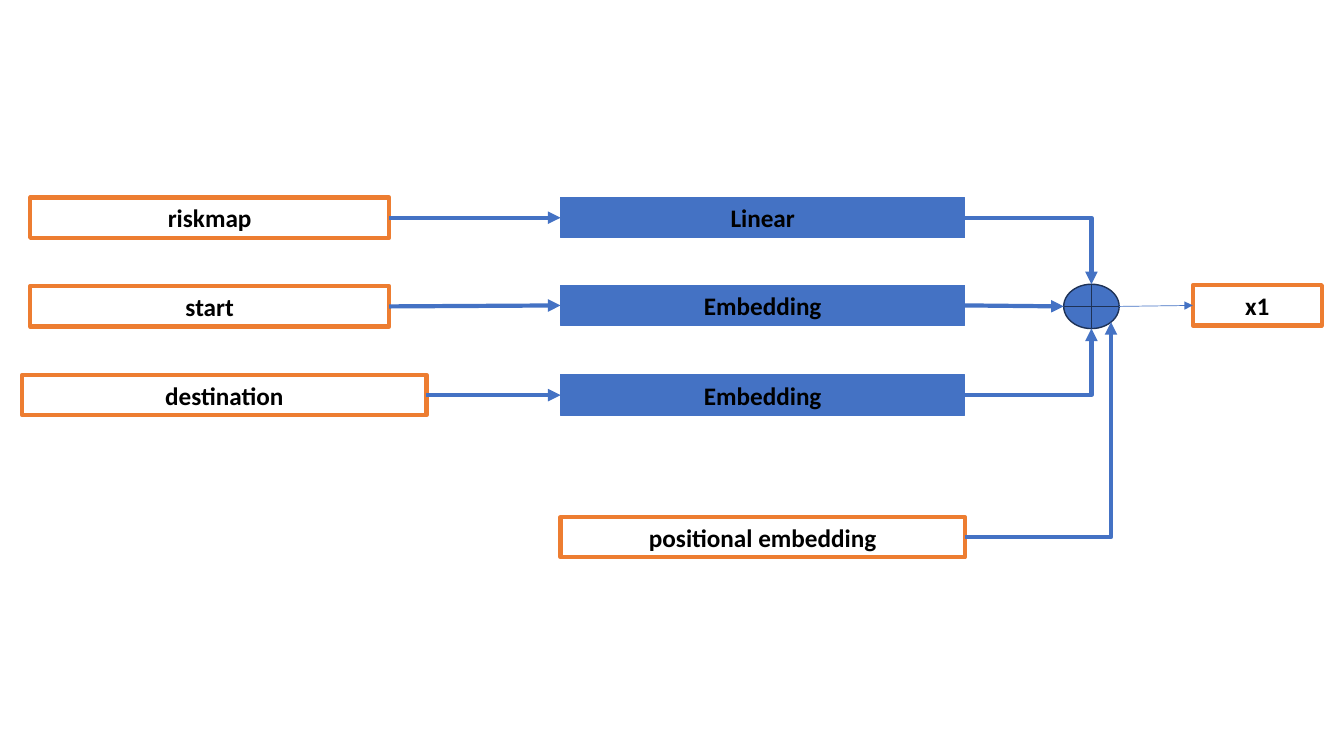
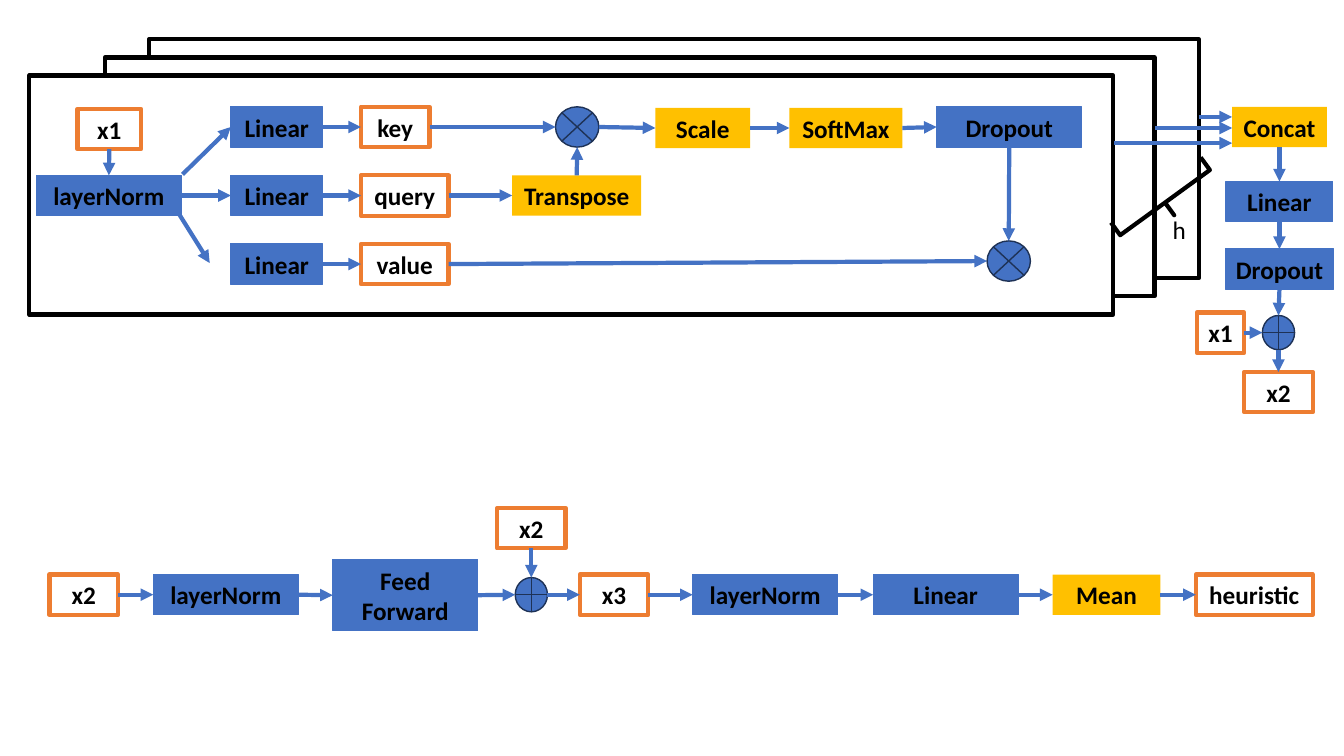
from dataclasses import dataclass
from enum import Enum
from itertools import pairwise
from typing import NamedTuple, Optional, Union

from lxml.etree import SubElement
from pptx import Presentation
from pptx.dml.color import RGBColor
from pptx.enum.shapes import MSO_CONNECTOR as Route, MSO_SHAPE as Preset
from pptx.enum.text import MSO_ANCHOR as Anchor, PP_ALIGN as Align
from pptx.oxml.ns import qn
from pptx.util import Inches, Pt


@dataclass(frozen=True)
class Theme:
    font: str = "Calibri"
    text_size: float = 18
    thick: float = 3
    hairline: float = 0.5
    ink: RGBColor = RGBColor(0x00, 0x00, 0x00)
    paper: RGBColor = RGBColor(0xFF, 0xFF, 0xFF)
    blue: RGBColor = RGBColor(0x44, 0x72, 0xC4)
    navy: RGBColor = RGBColor(0x1E, 0x32, 0x56)
    orange: RGBColor = RGBColor(0xED, 0x7D, 0x31)
    yellow: RGBColor = RGBColor(0xFF, 0xC0, 0x00)


THEME = Theme()


class Look(NamedTuple):
    preset: Preset
    fill: Optional[RGBColor]
    line: Optional[RGBColor]
    line_width: float = 0


class Role(Enum):
    TENSOR = Look(Preset.RECTANGLE, None, THEME.orange, THEME.thick)
    LAYER = Look(Preset.RECTANGLE, THEME.blue, THEME.blue, 0.75)
    OPERATION = Look(Preset.RECTANGLE, THEME.yellow, None)
    FRAME = Look(Preset.RECTANGLE, THEME.paper, THEME.ink, THEME.thick)
    SUM = Look(Preset.FLOWCHART_OR, THEME.blue, THEME.navy, 1)
    PRODUCT = Look(Preset.FLOWCHART_SUMMING_JUNCTION, THEME.blue, THEME.navy, 1)
    BRACE = Look(Preset.RIGHT_BRACE, None, THEME.ink, THEME.thick)


class Site(NamedTuple):
    x: float
    y: float
    on_rectangle: Optional[int]
    on_circle: int


class Side(Enum):
    TOP = Site(0.5, 0, 0, 0)
    LEFT = Site(0, 0.5, 1, 2)
    BOTTOM = Site(0.5, 1, 2, 4)
    LOWER_RIGHT = Site(0.854, 0.854, None, 5)
    RIGHT = Site(1, 0.5, 3, 6)


@dataclass(frozen=True)
class Node:
    role: Role
    text: str
    left: float
    top: float
    width: float
    height: float = 0.4


class Port(NamedTuple):
    node: str
    side: Side


class Point(NamedTuple):
    x: float
    y: float


End = Union[Port, Point]


class Link(NamedTuple):
    begin: End
    end: End
    width: float = THEME.thick
    bent: bool = False


def across(*names: str) -> list[Link]:
    return [Link(Port(a, Side.RIGHT), Port(b, Side.LEFT)) for a, b in pairwise(names)]


def down(*names: str) -> list[Link]:
    return [Link(Port(a, Side.BOTTOM), Port(b, Side.TOP)) for a, b in pairwise(names)]


def write(shape, text: str, bold: bool = True) -> None:
    frame = shape.text_frame
    frame.word_wrap = True
    frame.vertical_anchor = Anchor.MIDDLE
    frame.margin_left = frame.margin_right = 0
    frame.margin_top = frame.margin_bottom = Inches(0.05)
    frame.text = text
    for paragraph in frame.paragraphs:
        paragraph.alignment = Align.CENTER
        paragraph.font.name = THEME.font
        paragraph.font.size = Pt(THEME.text_size)
        paragraph.font.bold = bold
        paragraph.font.color.rgb = THEME.ink


def draw_node(slide, node: Node):
    look = node.role.value
    shape = slide.shapes.add_shape(
        look.preset, Inches(node.left), Inches(node.top), Inches(node.width), Inches(node.height)
    )
    shape.shadow.inherit = False
    if look.fill is None:
        shape.fill.background()
    else:
        shape.fill.solid()
        shape.fill.fore_color.rgb = look.fill
    if look.line is None:
        shape.line.fill.background()
    else:
        shape.line.color.rgb = look.line
        shape.line.width = Pt(look.line_width)
    if node.text:
        write(shape, node.text)
    return shape


def locate(end: End, nodes: dict[str, Node]) -> Point:
    if isinstance(end, Point):
        return end
    node, site = nodes[end.node], end.side.value
    return Point(node.left + site.x * node.width, node.top + site.y * node.height)


def join(connector, end: End, nodes: dict[str, Node], shapes: dict, is_begin: bool) -> None:
    if isinstance(end, Point):
        return
    shape, site = shapes[end.node], end.side.value
    if nodes[end.node].role in (Role.SUM, Role.PRODUCT):
        tag = "a:stCxn" if is_begin else "a:endCxn"
        SubElement(
            connector.element.nvCxnSpPr.cNvCxnSpPr,
            qn(tag),
            id=str(shape.shape_id),
            idx=str(site.on_circle),
        )
    elif is_begin:
        connector.begin_connect(shape, site.on_rectangle)
    else:
        connector.end_connect(shape, site.on_rectangle)


def draw_link(slide, link: Link, nodes: dict[str, Node], shapes: dict) -> None:
    start, stop = locate(link.begin, nodes), locate(link.end, nodes)
    connector = slide.shapes.add_connector(
        Route.ELBOW if link.bent else Route.STRAIGHT,
        Inches(start.x), Inches(start.y), Inches(stop.x), Inches(stop.y),
    )
    join(connector, link.begin, nodes, shapes, True)
    join(connector, link.end, nodes, shapes, False)
    connector.line.color.rgb = THEME.blue
    connector.line.width = Pt(link.width)
    properties = connector.element.spPr
    if link.bent:
        properties.find(qn("a:prstGeom")).set("prst", "bentConnector2")
    SubElement(properties.find(qn("a:ln")), qn("a:tailEnd"), type="triangle")
    SubElement(properties, qn("a:effectLst"))


def draw_diagram(slide, nodes: dict[str, Node], links: list[Link]) -> None:
    shapes = {name: draw_node(slide, node) for name, node in nodes.items()}
    for link in links:
        draw_link(slide, link, nodes, shapes)


def build_input_embedding(slide) -> None:
    nodes = {
        "riskmap": Node(Role.TENSOR, "riskmap", 0.3, 1.96, 3.56),
        "start": Node(Role.TENSOR, "start", 0.3, 2.84, 3.56),
        "destination": Node(Role.TENSOR, "destination", 0.22, 3.72, 4.01),
        "linear": Node(Role.LAYER, "Linear", 5.56, 1.96, 4.01),
        "start embedding": Node(Role.LAYER, "Embedding", 5.56, 2.83, 4.01),
        "destination embedding": Node(Role.LAYER, "Embedding", 5.56, 3.72, 4.01),
        "position": Node(Role.TENSOR, "positional embedding", 5.56, 5.13, 4.01),
        "sum": Node(Role.SUM, "", 10.55, 2.82, 0.55, 0.44),
        "x1": Node(Role.TENSOR, "x1", 11.83, 2.83, 1.28),
    }
    entries = {
        "linear": Side.TOP,
        "destination embedding": Side.BOTTOM,
        "position": Side.LOWER_RIGHT,
    }
    links = [
        *across("riskmap", "linear"),
        *across("start", "start embedding", "sum"),
        *across("destination", "destination embedding"),
        *[Link(Port(name, Side.RIGHT), Port("sum", side), bent=True) for name, side in entries.items()],
        Link(Port("sum", Side.RIGHT), Port("x1", Side.LEFT), THEME.hairline),
    ]
    draw_diagram(slide, nodes, links)


def build_attention(slide) -> None:
    nodes = {
        "back head": Node(Role.FRAME, "", 1.48, 0.39, 10.41, 2.37),
        "middle head": Node(Role.FRAME, "", 1.04, 0.57, 10.41, 2.37),
        "front head": Node(Role.FRAME, "", 0.29, 0.75, 10.75, 2.37),
        "x1": Node(Role.TENSOR, "x1", 0.77, 1.08, 0.63),
        "norm": Node(Role.LAYER, "layerNorm", 0.36, 1.74, 1.44),
        "key product": Node(Role.PRODUCT, "", 5.51, 1.06, 0.43),
        "transpose": Node(Role.OPERATION, "Transpose", 5.08, 1.74, 1.28),
        "scale": Node(Role.OPERATION, "Scale", 6.5, 1.07, 0.94),
        "softmax": Node(Role.OPERATION, "SoftMax", 7.83, 1.07, 1.12),
        "dropout": Node(Role.LAYER, "Dropout", 9.29, 1.06, 1.44),
        "value product": Node(Role.PRODUCT, "", 9.79, 2.39, 0.43),
        "concat": Node(Role.OPERATION, "Concat", 12.22, 1.06, 0.94),
        "output linear": Node(Role.LAYER, "Linear", 12.16, 1.8, 1.06),
        "output dropout": Node(Role.LAYER, "Dropout", 12.15, 2.47, 1.08),
        "residual": Node(Role.TENSOR, "x1", 11.87, 3.1, 0.47),
        "residual sum": Node(Role.SUM, "", 12.52, 3.13, 0.32, 0.34),
        "x2": Node(Role.TENSOR, "x2", 12.34, 3.69, 0.68),
    }
    links = []
    for row, (name, width) in enumerate({"key": 0.68, "query": 0.87, "value": 0.87}.items()):
        top = 1.06 + 0.68 * row
        nodes[f"{name} linear"] = Node(Role.LAYER, "Linear", 2.29, top, 0.91)
        nodes[name] = Node(Role.TENSOR, name, 3.58, top, width)
        links += across(f"{name} linear", name)
    links += [
        *down("x1", "norm"),
        Link(Point(1.81, 1.73), Port("key linear", Side.LEFT)),
        *across("norm", "query linear"),
        Link(Point(1.78, 2.13), Point(2.08, 2.61)),
        *across("key", "key product", "scale", "softmax", "dropout"),
        *across("query", "transpose"),
        Link(Port("transpose", Side.TOP), Port("key product", Side.BOTTOM)),
        *across("value", "value product"),
        *down("dropout", "value product"),
        *[Link(Point(x, y), Point(12.22, y)) for x, y in ((11.05, 1.42), (11.46, 1.27), (11.89, 1.16))],
        *down("concat", "output linear", "output dropout", "residual sum", "x2"),
        *across("residual", "residual sum"),
    ]
    draw_diagram(slide, nodes, links)

    brace = draw_node(slide, Node(Role.BRACE, "", 11.4, 1.46, 0.31, 1.1))
    brace.adjustments[0] = 0
    brace.adjustments[1] = 0.5
    brace.rotation = 54
    head_count = slide.shapes.add_textbox(Inches(11.57), Inches(2.08), Inches(0.25), Inches(0.4))
    write(head_count, "h", bold=False)


def build_feed_forward(slide) -> None:
    top = 5.7
    nodes = {
        "x2": Node(Role.TENSOR, "x2", 0.49, top, 0.68),
        "norm": Node(Role.LAYER, "layerNorm", 1.52, top, 1.44),
        "feed forward": Node(Role.LAYER, "Feed\nForward", 3.3, 5.55, 1.44, 0.71),
        "sum": Node(Role.SUM, "", 5.11, 5.73, 0.32, 0.34),
        "x3": Node(Role.TENSOR, "x3", 5.75, top, 0.68),
        "final norm": Node(Role.LAYER, "layerNorm", 6.87, top, 1.44),
        "linear": Node(Role.LAYER, "Linear", 8.66, top, 1.44),
        "mean": Node(Role.OPERATION, "Mean", 10.44, top, 1.07),
        "heuristic": Node(Role.TENSOR, "heuristic", 11.86, top, 1.16),
    }
    links = across(*nodes) + down("residual", "sum")
    nodes["residual"] = Node(Role.TENSOR, "x2", 4.93, 5.04, 0.68)
    draw_diagram(slide, nodes, links)


def main() -> None:
    deck = Presentation()
    deck.slide_width, deck.slide_height = Inches(13.33), Inches(7.5)
    blank = deck.slide_layouts[6]
    build_input_embedding(deck.slides.add_slide(blank))
    network = deck.slides.add_slide(blank)
    build_attention(network)
    build_feed_forward(network)
    deck.save("out.pptx")


if __name__ == "__main__":
    main()
